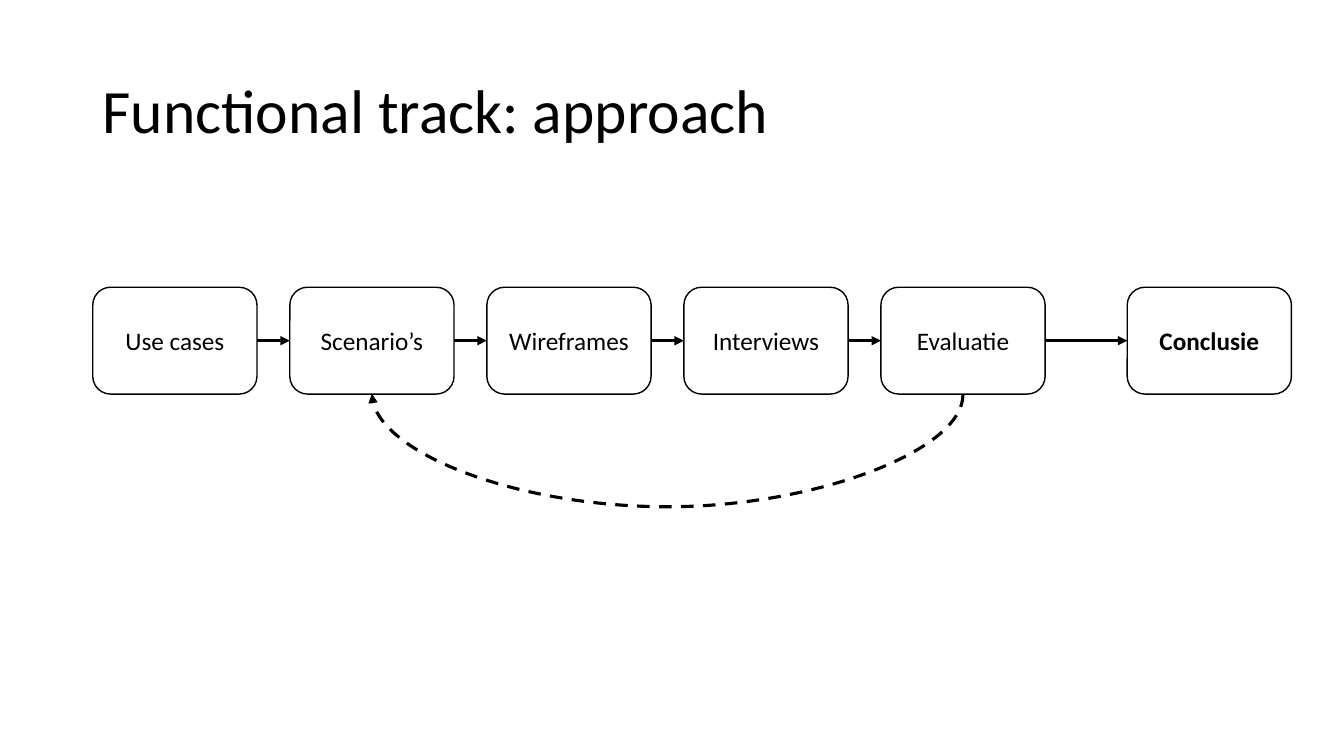
"""Build the functional track slide: a chain of steps with a feedback loop."""
import itertools

import pptx
import pptx.dml.color
import pptx.enum.dml
import pptx.enum.shapes
import pptx.enum.text
import pptx.oxml.ns
import pptx.util
from lxml import etree

BLACK = pptx.dml.color.RGBColor(0x00, 0x00, 0x00)
WHITE = pptx.dml.color.RGBColor(0xFF, 0xFF, 0xFF)
MARGIN = 0.92
COLUMN = (11.18 - MARGIN) / 5.25
ROW = 0.05
BOTTOM, LEFT, RIGHT = 2, 1, 3
STRAIGHT = pptx.enum.shapes.MSO_CONNECTOR.STRAIGHT
CURVE = pptx.enum.shapes.MSO_CONNECTOR.CURVE
STEPS = [
    ("Use cases", 0),
    ("Scenario’s", 1),
    ("Wireframes", 2),
    ("Interviews", 3),
    ("Evaluatie", 4),
    ("Conclusie", 5.25),
]


def write(shape, text, size=18, bold=False, align=None, spacing=None):
    frame = shape.text_frame
    frame.word_wrap = True
    frame.vertical_anchor = pptx.enum.text.MSO_ANCHOR.MIDDLE
    para = frame.paragraphs[0]
    para.alignment = align
    para.line_spacing = spacing
    span = para.add_run()
    span.text = text
    span.font.name = "Calibri"
    span.font.size = pptx.util.Pt(size)
    span.font.bold = bold
    span.font.color.rgb = BLACK


def add_node(parent, tag, **attributes):
    return etree.SubElement(parent, pptx.oxml.ns.qn(tag), attributes)


class Canvas:
    def __init__(self, page, ink=BLACK, paper=WHITE):
        self.page = page
        self.ink = ink
        self.paper = paper

    def place(self, column, row, columns, rows):
        lengths = (MARGIN + column * COLUMN, row * ROW, columns * COLUMN, rows * ROW)
        return [pptx.util.Inches(length) for length in lengths]

    def title(self, text):
        box = self.page.shapes.add_textbox(*self.place(0, 8, 5.88, 29))
        write(box, text, size=44, spacing=0.9)

    def step(self, text, column, bold=False):
        box = self.page.shapes.add_shape(
            pptx.enum.shapes.MSO_SHAPE.ROUNDED_RECTANGLE,
            *self.place(column, 57, 5 / 6, 21.2))
        box.shadow.inherit = False
        box.fill.solid()
        box.fill.fore_color.rgb = self.paper
        box.line.color.rgb = self.ink
        box.line.width = pptx.util.Pt(1)
        write(box, text, bold=bold, align=pptx.enum.text.PP_ALIGN.CENTER)
        return box

    def arrow(self, start, end, kind=STRAIGHT, sites=(RIGHT, LEFT)):
        arrow = self.page.shapes.add_connector(kind, 0, 0, 0, 0)
        arrow.begin_connect(start, sites[0])
        arrow.end_connect(end, sites[1])
        arrow.line.color.rgb = self.ink
        arrow.line.width = pptx.util.Pt(2.25)
        add_node(arrow.line._get_or_add_ln(), "a:tailEnd", type="triangle")
        add_node(arrow._element.spPr, "a:effectLst")
        return arrow

    def loop(self, start, end, depth):
        arrow = self.arrow(start, end, CURVE, (BOTTOM, BOTTOM))
        arrow.line.dash_style = pptx.enum.dml.MSO_LINE.DASH
        span = start.left - end.left
        thickness = pptx.util.Inches(0.01)
        arrow.left = (start.left + end.left + start.width - thickness) // 2
        arrow.top = start.top + start.height - span // 2
        arrow.width, arrow.height = thickness, span
        frame = arrow._element.spPr.find(pptx.oxml.ns.qn("a:xfrm"))
        frame.set("rot", str(90 * 60000))
        frame.set("flipH", "1")
        frame.set("flipV", "0")
        guides = arrow._element.spPr.find(pptx.oxml.ns.qn("a:prstGeom")).get_or_add_avLst()
        bend = -round(depth * ROW / 0.01 * 100000)
        add_node(guides, "a:gd", name="adj1", fmla=f"val {bend}")


deck = pptx.Presentation()
deck.slide_width = pptx.util.Inches(13.33)
deck.slide_height = pptx.util.Inches(7.5)
canvas = Canvas(deck.slides.add_slide(deck.slide_layouts[6]))

canvas.title("Functional track: approach")
boxes = [canvas.step(text, column, bold=text == "Conclusie") for text, column in STEPS]
for start, end in itertools.pairwise(boxes):
    canvas.arrow(start, end, CURVE if end is boxes[-1] else STRAIGHT)
canvas.loop(boxes[4], boxes[1], depth=22.6)

deck.save("out.pptx")
